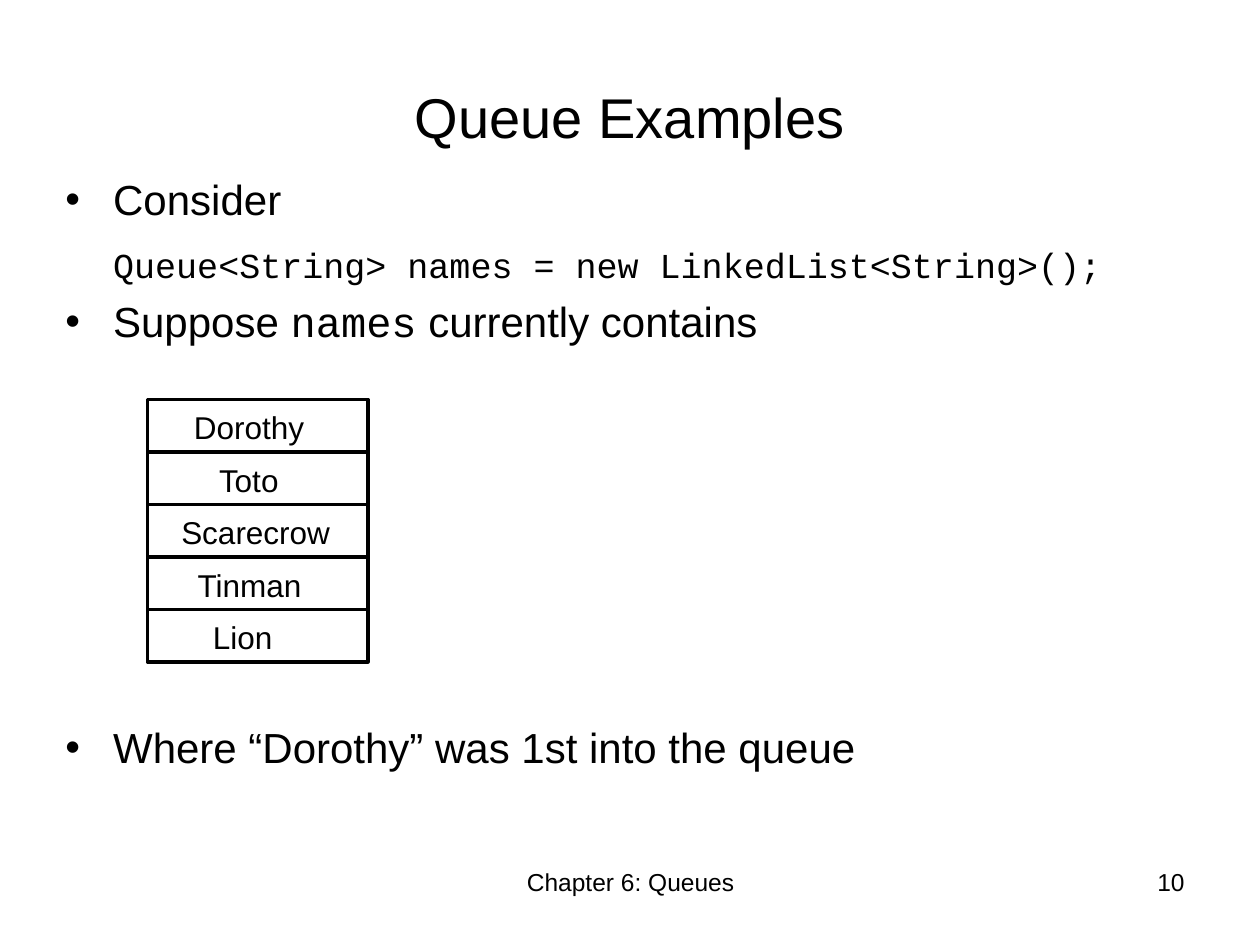
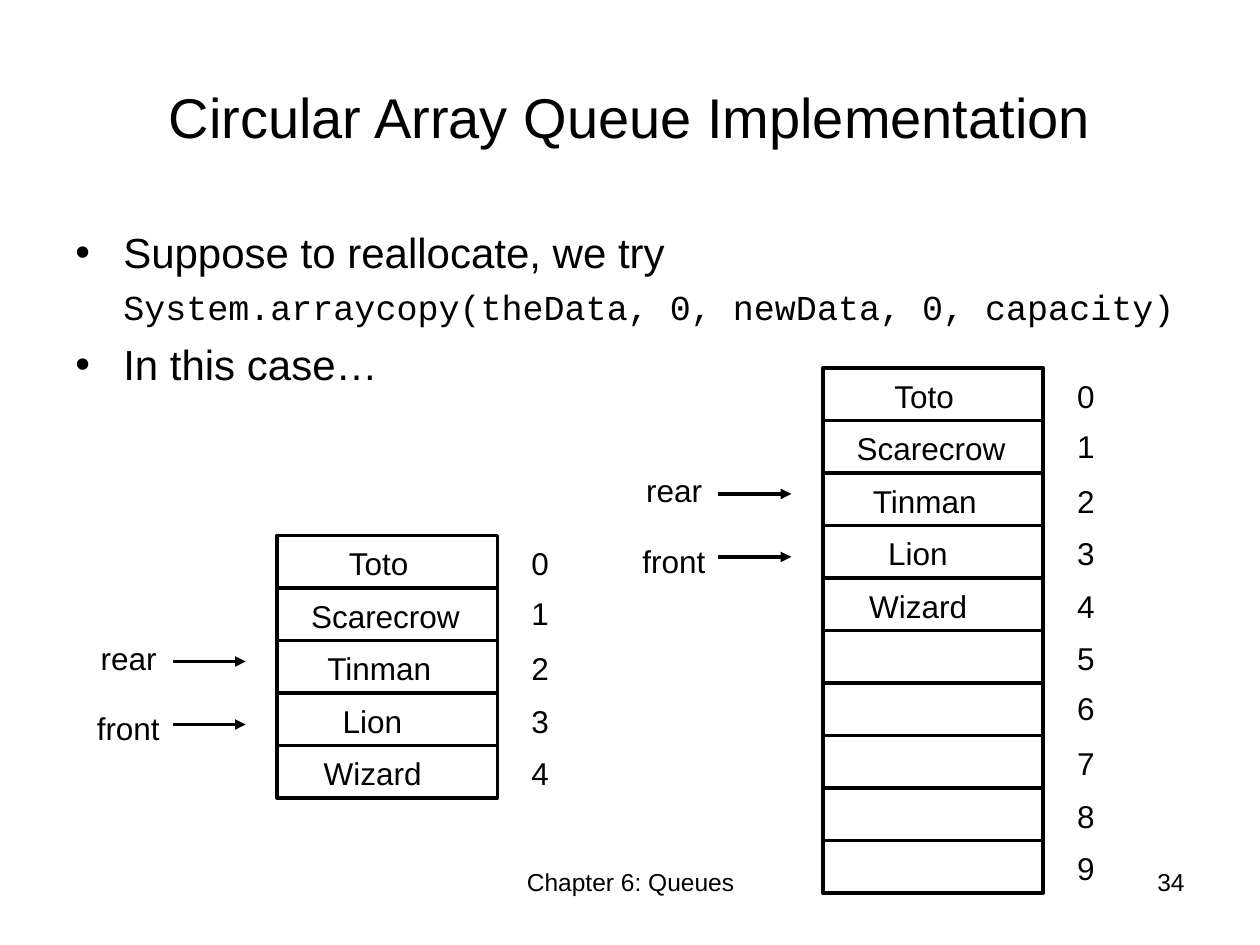
from dataclasses import dataclass
from typing import NamedTuple

from lxml.etree import SubElement
from pptx import Presentation
from pptx.dml.color import RGBColor
from pptx.enum.shapes import MSO_CONNECTOR as Connector, MSO_SHAPE as Preset
from pptx.enum.text import MSO_ANCHOR as Anchor, MSO_AUTO_SIZE as AutoSize, PP_ALIGN as Align
from pptx.oxml.ns import qn
from pptx.util import Inches, Pt

COLORS = {"ink": "000000", "paper": "FFFFFF"}
SANS, MONO = "Arial", "Courier New"
CELL_WIDTH, CELL_HEIGHT = 1.75, 5 / 12
LABEL_HEIGHT = 0.4
LABEL_DROP = 0.02


class Span(NamedTuple):
    text: str
    size: float = 24
    font: str = SANS


class Label(NamedTuple):
    text: str
    left: float
    width: float


class Pointer(NamedTuple):
    label: Label
    label_top: float
    arrow_top: float


@dataclass(frozen=True)
class Line:
    spans: tuple[Span, ...]
    bullet: bool = True
    before: float = 6


@dataclass(frozen=True)
class QueueArray:
    left: float
    top: float
    names: tuple[str, ...]
    capacity: int = 5


NAME_LABELS = {
    label.text: label
    for label in (
        Label("Dorothy", 0.27, 1.11),
        Label("Toto", 0.47, 0.73),
        Label("Scarecrow", 0.17, 1.42),
        Label("Tinman", 0.3, 1.07),
        Label("Lion", 0.42, 0.71),
        Label("Wizard", 0.27, 1.02),
    )
}
POINTERS = (
    Pointer(Label("front", -1.53, 0.74), 1.33, 1.5),
    Pointer(Label("rear", -1.5, 0.68), 0.77, 1),
)
ARROW_START, ARROW_END = -0.83, -0.25
INDEX_LEFT, INDEX_WIDTH = 1.92, 0.36


def color(name: str) -> RGBColor:
    return RGBColor.from_string(COLORS[name])


def add_span(para, span: Span) -> None:
    run = para.add_run()
    run.text = span.text
    run.font.size = Pt(span.size)
    run.font.name = span.font
    run.font.color.rgb = color("ink")


def add_box(shapes, left: float, top: float, width: float, height: float):
    return shapes.add_textbox(Inches(left), Inches(top), Inches(width), Inches(height))


def add_aligned_text(page, left: float, top: float, width: float, height: float,
                     span: Span, align: Align, anchor: Anchor = Anchor.TOP) -> None:
    frame = add_box(page.shapes, left, top, width, height).text_frame
    frame.word_wrap = True
    frame.vertical_anchor = anchor
    para = frame.paragraphs[0]
    para.alignment = align
    add_span(para, span)


def add_label(shapes, left: float, top: float, label: Label) -> None:
    frame = add_box(shapes, left + label.left, top, label.width, LABEL_HEIGHT).text_frame
    frame.word_wrap = False
    frame.auto_size = AutoSize.NONE
    para = frame.paragraphs[0]
    para.alignment = Align.LEFT
    add_span(para, Span(label.text, 18))


def add_body(page, left: float, top: float, width: float, height: float,
             lines: tuple[Line, ...]) -> None:
    frame = add_box(page.shapes, left, top, width, height).text_frame
    frame.word_wrap = True
    for number, line in enumerate(lines):
        para = frame.add_paragraph() if number else frame.paragraphs[0]
        para.alignment = Align.JUSTIFY
        if number:
            para.space_before = Pt(line.before)
        properties = para._p.get_or_add_pPr()
        indent = Inches(0.38)
        properties.set("marL", str(indent))
        properties.set("indent", str(-indent if line.bullet else 0))
        if line.bullet:
            SubElement(properties, qn("a:buFont"), typeface=SANS)
            SubElement(properties, qn("a:buChar"), char="•")
        else:
            SubElement(properties, qn("a:buNone"))
        for span in line.spans:
            add_span(para, span)


def add_cell(shapes, left: float, top: float) -> None:
    cell = shapes.add_shape(Preset.RECTANGLE, Inches(left), Inches(top),
                            Inches(CELL_WIDTH), Inches(CELL_HEIGHT))
    cell.shadow.inherit = False
    cell.fill.background()
    cell.line.color.rgb = color("ink")
    cell.line.width = Pt(2)


def add_arrow(shapes, start: float, end: float, top: float) -> None:
    arrow = shapes.add_connector(Connector.STRAIGHT, Inches(start), Inches(top),
                                 Inches(end), Inches(top))
    arrow.line.color.rgb = color("ink")
    arrow.line.width = Pt(2)
    SubElement(arrow.line._get_or_add_ln(), qn("a:tailEnd"), type="triangle")
    SubElement(arrow._element.spPr, qn("a:effectLst"))


def add_cells(shapes, array: QueueArray) -> None:
    for row in range(array.capacity):
        top = array.top + row * CELL_HEIGHT
        add_cell(shapes, array.left, top)
        if row < len(array.names):
            add_label(shapes, array.left, top + LABEL_DROP, NAME_LABELS[array.names[row]])


def add_indexed_array(page, array: QueueArray) -> None:
    shapes = page.shapes.add_group_shape().shapes
    add_cells(shapes, array)
    for pointer in POINTERS:
        add_arrow(shapes, array.left + ARROW_START, array.left + ARROW_END,
                  array.top + pointer.arrow_top)
        add_label(shapes, array.left, array.top + pointer.label_top, pointer.label)
    for row in range(array.capacity):
        drop = 0 if row % 5 == 1 else LABEL_DROP
        add_label(shapes, array.left, array.top + row * CELL_HEIGHT + drop,
                  Label(str(row), INDEX_LEFT, INDEX_WIDTH))


def add_page(deck, title: str, number: int):
    page = deck.slides.add_slide(deck.slide_layouts[6])
    page.background.fill.solid()
    page.background.fill.fore_color.rgb = color("paper")
    add_aligned_text(page, 3.42, 6.83, 3.17, 0.52, Span("Chapter 6: Queues", 14), Align.CENTER)
    add_aligned_text(page, 7.17, 6.83, 2.33, 0.52, Span(str(number), 14), Align.RIGHT)
    add_aligned_text(page, 0.5, 0.3, 9, 1.25, Span(title, 32), Align.CENTER, Anchor.MIDDLE)
    return page


def add_examples_page(deck) -> None:
    page = add_page(deck, "Queue Examples", 10)
    code = Span("Queue<String> names = new LinkedList<String>();", 20, MONO)
    add_body(page, 0.42, 1.33, 9, 4.95, (
        Line((Span("Consider"),)),
        Line((code,), bullet=False, before=11),
        Line((Span("Suppose "), Span("names", font=MONO), Span(" currently contains"))),
        Line((Span("Where “Dorothy” was 1st into the queue"),), before=214.5),
    ))
    names = ("Dorothy", "Toto", "Scarecrow", "Tinman", "Lion")
    add_cells(page.shapes, QueueArray(1.17, 3.17, names))


def add_circular_page(deck) -> None:
    page = add_page(deck, "Circular Array Queue Implementation", 34)
    code = Span("System.arraycopy(theData, 0, newData, 0, capacity)", 20, MONO)
    add_body(page, 0.5, 1.75, 9.08, 1.42, (
        Line((Span("Suppose to reallocate, we try"),)),
        Line((code,), bullet=False, before=5),
        Line((Span("In this case…"),)),
    ))
    names = ("Toto", "Scarecrow", "Tinman", "Lion", "Wizard")
    add_indexed_array(page, QueueArray(2.2, 4.25, names))
    add_indexed_array(page, QueueArray(6.53, 2.92, names, capacity=10))


def main() -> None:
    deck = Presentation()
    deck.slide_width, deck.slide_height = Inches(10), Inches(7.5)
    add_examples_page(deck)
    add_circular_page(deck)
    deck.save("out.pptx")


if __name__ == "__main__":
    main()
